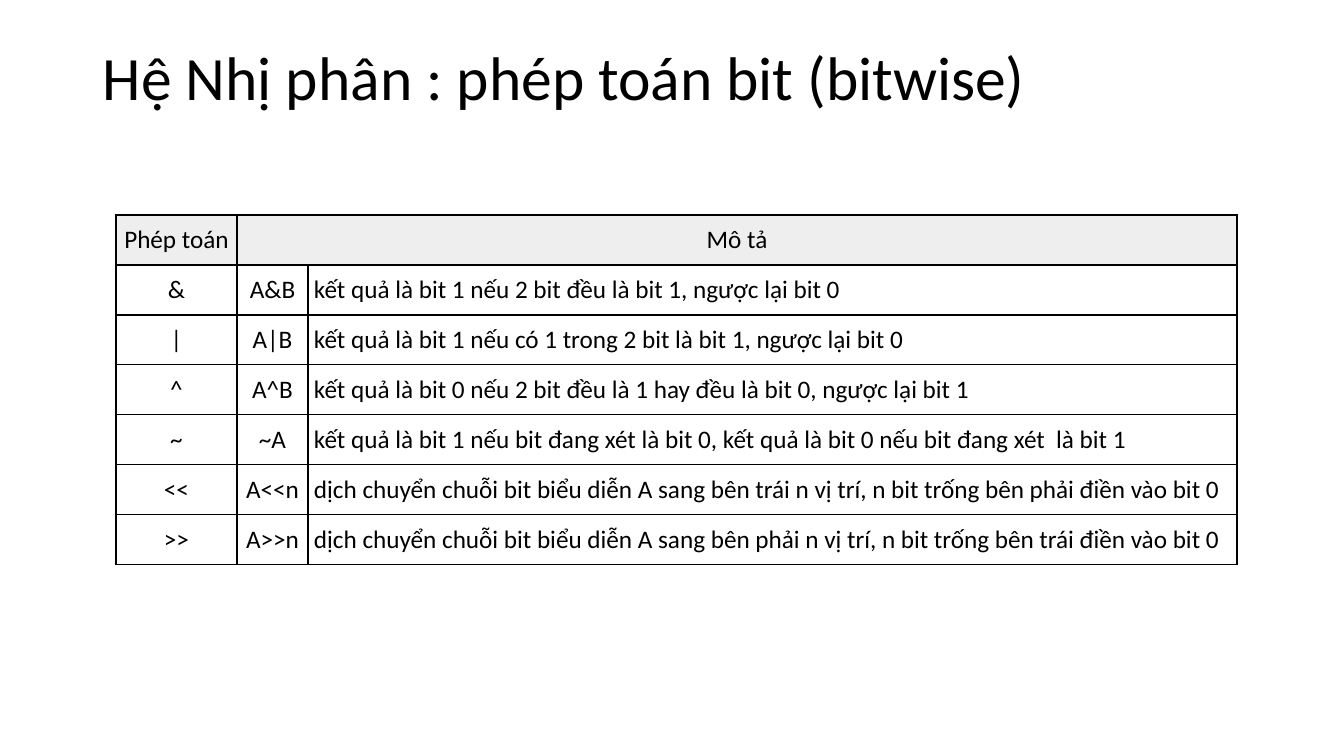
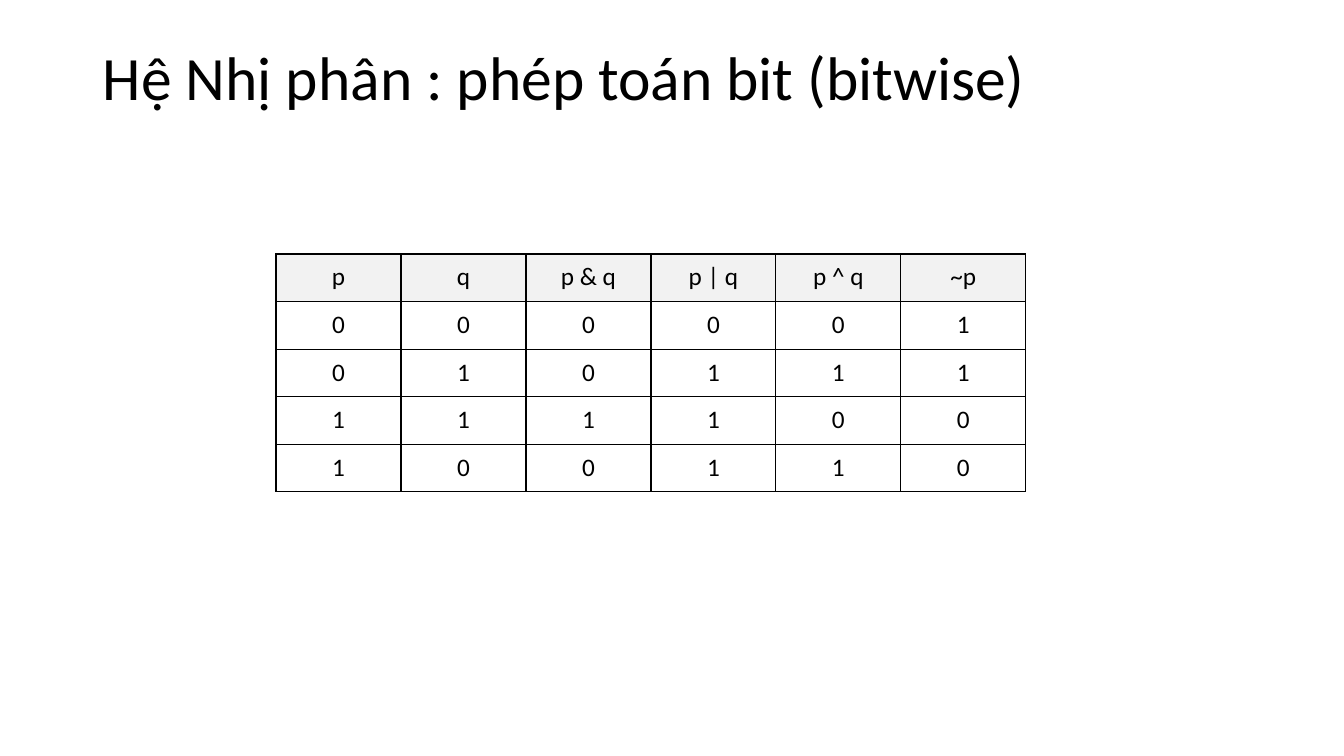
from dataclasses import dataclass

from lxml import etree
from pptx import Presentation
from pptx import util as u
from pptx.dml import color
from pptx.enum import text
from pptx.oxml import ns

EMU_PER_PX = 914400 / 100.8


@dataclass(frozen=True)
class Theme:
    font: str = "Calibri"
    ink: str = "000000"
    title_size: int = 44
    cell_size: int = 18
    border_width: int = 1


THEME = Theme()
LEFT, CENTER = text.PP_ALIGN.LEFT, text.PP_ALIGN.CENTER
TOP, MIDDLE = text.MSO_ANCHOR.TOP, text.MSO_ANCHOR.MIDDLE
TITLE = "Hệ Nhị phân : phép toán bit (bitwise)"

TABLES = [
    {
        "box": (116, 215, 1121, 350),
        "columns": (121, 71, 929),
        "alignments": (CENTER, CENTER, LEFT),
        "anchor": MIDDLE,
        "inset": 6,
        "header_fill": "EEEEEE",
        "header_span": (1, 2),
        "rows": [
            ("Phép toán", "Mô tả", ""),
            ("&", "A&B", "kết quả là bit 1 nếu 2 bit đều là bit 1, ngược lại bit 0"),
            ("|", "A|B", "kết quả là bit 1 nếu có 1 trong 2 bit là bit 1, ngược lại bit 0"),
            ("^", "A^B", "kết quả là bit 0 nếu 2 bit đều là 1 hay đều là bit 0, ngược lại bit 1"),
            ("~", "~A", "kết quả là bit 1 nếu bit đang xét là bit 0, kết quả là bit 0 nếu bit đang xét  là bit 1"),
            ("<<", "A<<n", "dịch chuyển chuỗi bit biểu diễn A sang bên trái n vị trí, n bit trống bên phải điền vào bit 0"),
            (">>", "A>>n", "dịch chuyển chuỗi bit biểu diễn A sang bên phải n vị trí, n bit trống bên trái điền vào bit 0"),
        ],
    },
    {
        "box": (276, 254, 750, 238),
        "columns": (125,) * 6,
        "alignments": (CENTER,) * 6,
        "anchor": TOP,
        "inset": 8,
        "header_fill": "F2F2F2",
        "header_span": None,
        "rows": [
            ("p", "q", "p & q", "p | q", "p ^ q", "~p"),
            *("000001", "010111", "111100", "100110"),
        ],
    },
]


def px(length):
    return u.Emu(round(length * EMU_PER_PX))


def write(frame, content, *, size, alignment=LEFT, line_spacing=None):
    paragraph = frame.paragraphs[0]
    paragraph.alignment = alignment
    paragraph.line_spacing = line_spacing
    run = paragraph.add_run()
    run.text = content
    run.font.name = THEME.font
    run.font.size = u.Pt(size)
    run.font.color.rgb = color.RGBColor.from_string(THEME.ink)


presentation = Presentation()
presentation.slide_width, presentation.slide_height = px(1344), px(756)

for spec_table in TABLES:
    slide = presentation.slides.add_slide(presentation.slide_layouts[6])

    title = slide.shapes.add_textbox(*map(px, (93, 21, 1159, 119))).text_frame
    title.word_wrap = True
    title.vertical_anchor = MIDDLE
    write(title, TITLE, size=THEME.title_size, line_spacing=0.9)

    rows, columns = spec_table["rows"], spec_table["columns"]
    table = slide.shapes.add_table(
        len(rows), len(columns), *map(px, spec_table["box"])
    ).table
    table.first_row = table.horz_banding = False
    for column, width in zip(table.columns, columns):
        column.width = px(width)

    if spec_table["header_span"]:
        first, last = spec_table["header_span"]
        table.cell(0, first).merge(table.cell(0, last))

    for row_index, row in enumerate(rows):
        for column_index, content in enumerate(row):
            cell = table.cell(row_index, column_index)
            is_header = row_index == 0
            cell.vertical_anchor = spec_table["anchor"]
            cell.margin_left = cell.margin_right = px(spec_table["inset"])
            cell.margin_top = cell.margin_bottom = px(spec_table["inset"])

            # Borders must come before the fill in the cell properties.
            properties = cell._tc.get_or_add_tcPr()
            for side in ("lnL", "lnR", "lnT", "lnB"):
                border = etree.SubElement(
                    properties, ns.qn(f"a:{side}"), w=str(u.Pt(THEME.border_width))
                )
                fill = etree.SubElement(border, ns.qn("a:solidFill"))
                etree.SubElement(fill, ns.qn("a:srgbClr"), val=THEME.ink)

            if is_header:
                cell.fill.solid()
                cell.fill.fore_color.rgb = color.RGBColor.from_string(
                    spec_table["header_fill"]
                )
            else:
                cell.fill.background()

            if not cell.is_spanned:
                alignment = CENTER if is_header else spec_table["alignments"][column_index]
                write(cell.text_frame, content, size=THEME.cell_size, alignment=alignment)

presentation.save("out.pptx")
